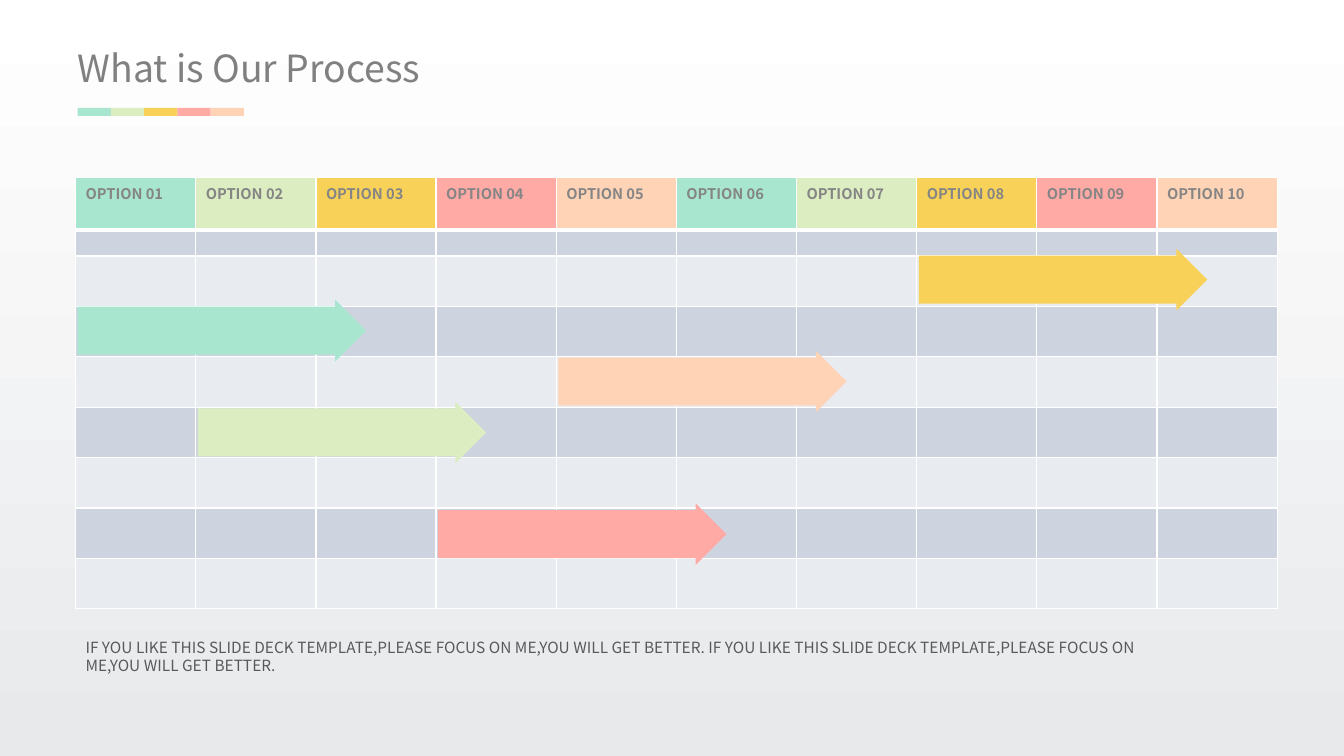
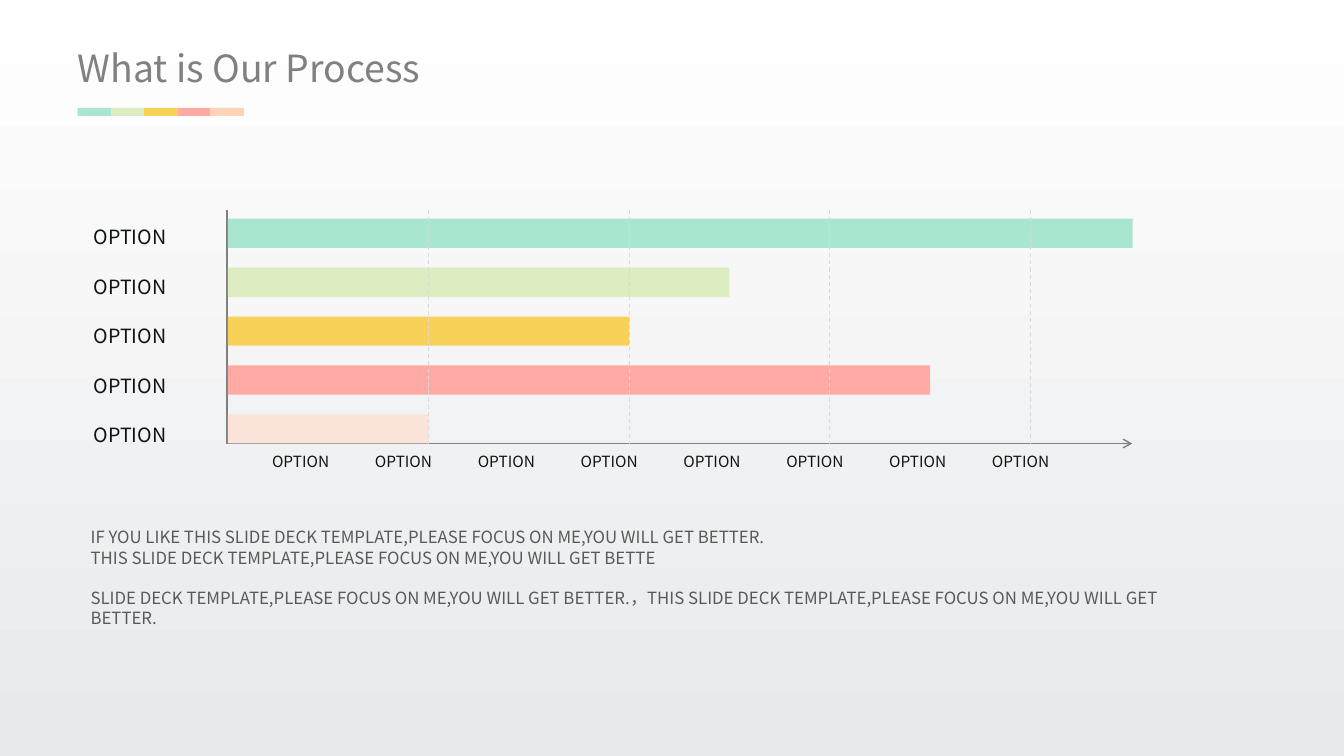
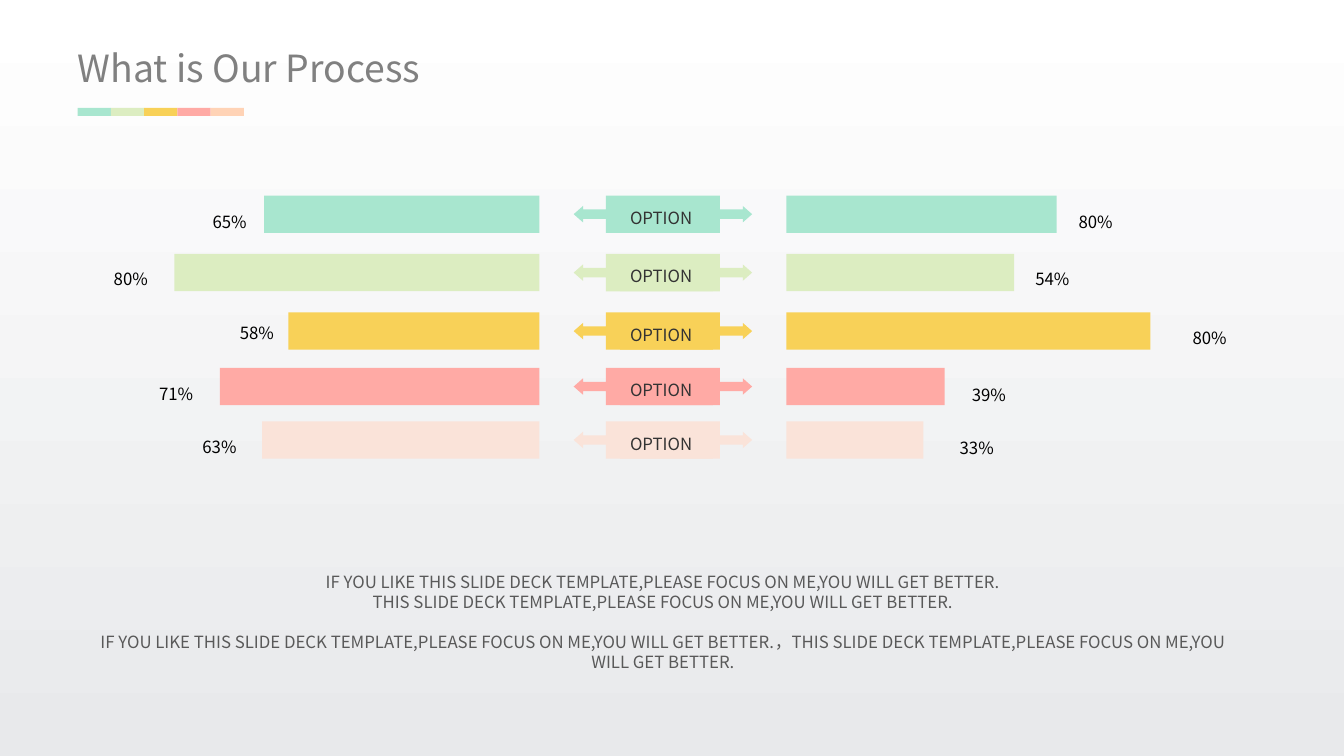
from lxml import etree
from pptx import Presentation
from pptx.dml.color import RGBColor
from pptx.enum import dml, shapes, text
from pptx.oxml import ns
from pptx.util import Inches, Pt

FONT = "Noto Sans CJK SC"
MINT, LIME, GOLD, CORAL, PEACH = PALETTE = ["A8E6CF", "DCEDC1", "F8D158", "FFAAA5", "FFD3B6"]
BAR_COLORS = PALETTE[:4] + ["FAE3D9"]
GREY, NOTE_GREY, INK, WHITE = "808080", "595959", "0D1512", "FFFFFF"
BACKGROUND = [WHITE, "E8E9EB"]
TITLE = "What is Our Process"
SLOGAN = "THIS SLIDE DECK TEMPLATE,PLEASE FOCUS ON ME,YOU WILL GET BETTER."
FULL_SLOGAN = "IF YOU LIKE " + SLOGAN


def rgb(hex_color):
    return RGBColor.from_string(hex_color)


def set_all(target, values):
    for name, value in values.items():
        setattr(target, name, value)


def place(item, left, top, width, height):
    set_all(item, {"left": Inches(left), "top": Inches(top),
                   "width": Inches(width), "height": Inches(height)})


def write(frame, lines, size, color, inset=(0.1, 0.05), bold=False, **paragraph_format):
    """Fill a text frame with one paragraph per line."""
    side, edge = map(Inches, inset)
    set_all(frame, {"word_wrap": True, "auto_size": text.MSO_AUTO_SIZE.NONE,
                    "vertical_anchor": text.MSO_ANCHOR.TOP,
                    "margin_left": side, "margin_right": side,
                    "margin_top": edge, "margin_bottom": edge})
    layout = {"alignment": text.PP_ALIGN.LEFT, **paragraph_format}
    for index, line in enumerate(lines):
        paragraph = frame.add_paragraph() if index else frame.paragraphs[0]
        set_all(paragraph, layout)
        run = paragraph.add_run()
        run.text = line
        set_all(run.font, {"name": FONT, "size": Pt(size), "bold": bold})
        run.font.color.rgb = rgb(color)
        etree.SubElement(run.font._element, ns.qn("a:ea"), typeface=FONT)


def add_text(slide, box, lines, size, color, **paragraph_format):
    frame = slide.shapes.add_textbox(*map(Inches, box)).text_frame
    write(frame, lines, size, color, **paragraph_format)
    return frame


def add_block(slide, box, color, kind=shapes.MSO_SHAPE.RECTANGLE, adjustments=()):
    block = slide.shapes.add_shape(kind, *map(Inches, box))
    block.shadow.inherit = False
    block.fill.solid()
    block.fill.fore_color.rgb = rgb(color)
    block.line.fill.background()
    for index, value in enumerate(adjustments):
        block.adjustments[index] = value
    return block


def add_line(slide, start, end, color, width, dash=None, arrow=False):
    line = slide.shapes.add_connector(shapes.MSO_CONNECTOR.STRAIGHT,
                                      *map(Inches, start + end))
    line.line.color.rgb = rgb(color)
    set_all(line.line, {"width": Pt(width), "dash_style": dash})
    properties = line._element.spPr
    if arrow:
        etree.SubElement(properties.find(ns.qn("a:ln")), ns.qn("a:tailEnd"), type="arrow")
    etree.SubElement(properties, ns.qn("a:effectLst"))


def add_note(slide, box, lines, **paragraph_format):
    """Add a note whose last line stands one line apart."""
    frame = add_text(slide, box, lines, 12, NOTE_GREY, **paragraph_format)
    frame.paragraphs[-1].space_before = Pt(14.4)


def set_background(master):
    fill = master.background.fill
    fill.gradient()
    fill.gradient_angle = 270
    for stop, color in zip(fill.gradient_stops, BACKGROUND):
        stop.color.rgb = rgb(color)


def add_process_slide(prs):
    """Add a slide with the shared title and colour band."""
    slide = prs.slides.add_slide(prs.slide_layouts[5])
    title = slide.shapes.title
    place(title, 0.77, 0.45, 4.05, 0.45)
    write(title.text_frame, [TITLE], 26.7, GREY, inset=(0, 0))
    title.text_frame.vertical_anchor = text.MSO_ANCHOR.MIDDLE
    for index, color in enumerate(PALETTE):
        add_block(slide, (0.77 + 0.33 * index, 1.07, 0.33, 0.08), color)
    return slide


def format_cell(cell, color, top=1, bottom=1):
    """Give a cell white borders (widths in points) and a fill."""
    properties = cell._tc.get_or_add_tcPr()
    for side, width in {"L": 1, "R": 1, "T": top, "B": bottom}.items():
        border = etree.SubElement(properties, ns.qn("a:ln" + side), w=str(Pt(width)))
        fill = etree.SubElement(border, ns.qn("a:solidFill"))
        etree.SubElement(fill, ns.qn("a:srgbClr"), val=WHITE)
    cell.fill.solid()
    cell.fill.fore_color.rgb = rgb(color)


def add_schedule_table(slide):
    row_heights = [0.52, 0.26] + [0.5] * 7
    columns = 10
    table = slide.shapes.add_table(len(row_heights), columns, Inches(0.75), Inches(1.76),
                                   Inches(11.92), Inches(sum(row_heights))).table
    set_all(table, {"first_row": False, "horz_banding": False})
    for row, height in zip(table.rows, row_heights):
        row.height = Inches(height)
    for column in range(columns):
        header = table.cell(0, column)
        format_cell(header, PALETTE[column % len(PALETTE)], bottom=3)
        write(header.text_frame, [f"OPTION {column + 1:02}"], 10.5, "858585", bold=True)
        header.vertical_anchor = text.MSO_ANCHOR.TOP
        for row in range(1, len(row_heights)):
            cell = table.cell(row, column)
            format_cell(cell, "CDD4E0" if row % 2 else "E8EBF0", top=3 if row == 1 else 1)
            paragraph = cell.text_frame.paragraphs[0]._p
            etree.SubElement(paragraph, ns.qn("a:endParaRPr"), sz="800")


def build_schedule(prs):
    slide = add_process_slide(prs)
    add_schedule_table(slide)
    # colour, start column, row
    tasks = [(MINT, 0, 1), (LIME, 1, 3), (CORAL, 3, 5), (GOLD, 7, 0), (PEACH, 4, 2)]
    for color, column, row in tasks:
        box = (0.77 + 11.92 / 10 * column, 2.47 + 0.505 * row, 2.86, 0.61)
        add_block(slide, box, color, shapes.MSO_SHAPE.RIGHT_ARROW, (0.78, 0.5))
    add_text(slide, (0.75, 6.28, 11.14, 0.66), [f"{FULL_SLOGAN} {FULL_SLOGAN}"], 11, NOTE_GREY)


def build_bars(prs):
    slide = add_process_slide(prs)
    origin, unit, top, base = 2.26, 1.99, 2.08, 4.4
    lengths = [4.51, 2.5, 2, 3.5, 1]
    add_line(slide, (2.25, top), (2.25, base), GREY, 1)
    add_line(slide, (origin, base), (11.23, base), GREY, 1, arrow=True)
    for index, (length, color) in enumerate(zip(lengths, BAR_COLORS)):
        add_text(slide, (0.83, 2.07 + 0.49 * index, 1.18, 0.45), ["OPTION"], 14, INK,
                 line_spacing=1.5)
        add_block(slide, (origin, 2.17 + 0.485 * index, unit * length, 0.29), color)
    for step in range(1, 5):
        x = origin + unit * step
        add_line(slide, (x, top), (x, base), "D9D9D9", 0.75, dml.MSO_LINE.DASH)
    for index in range(8):
        add_text(slide, (2.6 + 1.02 * index, 4.44, 0.98, 0.29), ["OPTION"], 11, INK)
    add_note(slide, (0.8, 5.18, 11.39, 1.51),
             [FULL_SLOGAN, SLOGAN.removesuffix("R."),
              f"{SLOGAN.removeprefix('THIS ')}，{SLOGAN}"])


def build_comparison(prs):
    slide = add_process_slide(prs)
    left_end, right_start, height = 5.35, 7.8, 0.37
    # row top, then for each side: bar length, share, left and top of its label
    rows = [
        (1.94, (2.73, "65%", 2.01, 1.95), (2.68, "80%", 10.6, 1.95)),
        (2.52, (3.62, "80%", 1.03, 2.52), (2.26, "54%", 10.17, 2.52)),
        (3.1, (2.49, "58%", 2.28, 3.05), (3.61, "80%", 11.73, 3.1)),
        (3.65, (3.17, "71%", 1.48, 3.66), (1.57, "39%", 9.54, 3.67)),
        (4.18, (2.75, "63%", 1.91, 4.18), (1.36, "33%", 9.42, 4.19)),
    ]
    for (top, left_side, right_side), color in zip(rows, BAR_COLORS):
        add_block(slide, (5.69, top, 1.77, height), color,
                  shapes.MSO_SHAPE.LEFT_RIGHT_ARROW_CALLOUT, (0.25, 0.22, 0.25, 0.64))
        option = add_block(slide, (6.15, top + 0.07, 0.92, 0.3), color)
        write(option.text_frame, ["OPTION"], 12, "333333")
        starts = (left_end - left_side[0], right_start)
        for start, (length, share, label_left, label_top) in zip(starts, (left_side, right_side)):
            add_block(slide, (start, top, length, height), color)
            add_text(slide, (label_left, label_top, 0.67, 0.33), [share], 12, "000000",
                     line_spacing=1.5)
    add_note(slide, (0.88, 5.62, 11.39, 1.51),
             [FULL_SLOGAN, SLOGAN, f"{FULL_SLOGAN}，{SLOGAN}"],
             alignment=text.PP_ALIGN.CENTER)


def main():
    prs = Presentation()
    set_all(prs, {"slide_width": Inches(13.33), "slide_height": Inches(7.5)})
    set_background(prs.slide_master)
    for build in (build_schedule, build_bars, build_comparison):
        build(prs)
    prs.save("out.pptx")


if __name__ == "__main__":
    main()
